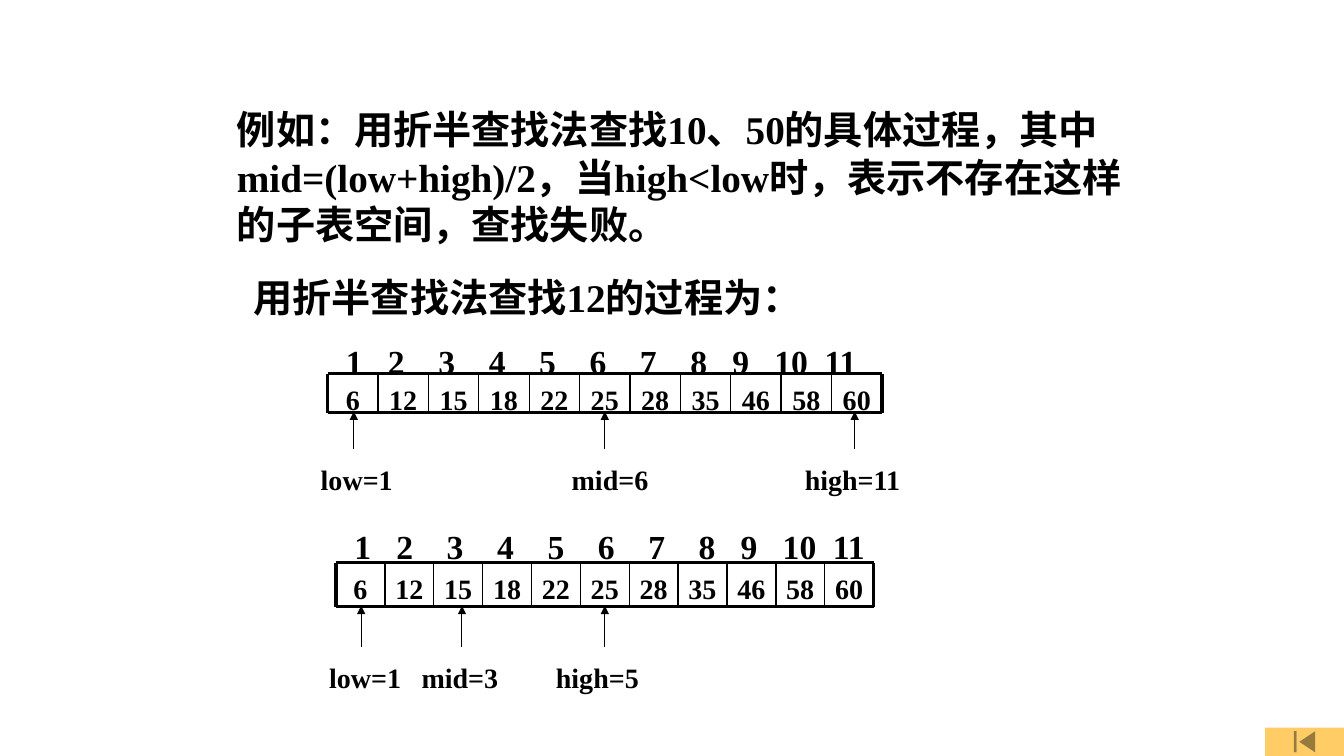
import pptx
import pptx.util
import pptx.dml.color
import pptx.enum.shapes
import pptx.enum.text
import pptx.oxml.ns
from lxml import etree

PX = 9525  # EMU per px, 96 px to the inch
BLACK = pptx.dml.color.RGBColor(0x00, 0x00, 0x00)
AMBER = pptx.dml.color.RGBColor(0xFF, 0xCC, 0x66)
LATIN_FONT = "Times New Roman"
CHINESE_FONT = "Noto Sans CJK SC"

VALUES = [6, 12, 15, 18, 22, 25, 28, 35, 46, 58, 60]
INDEX_STOPS = [32, 72, 120, 168, 216, 264, 312, 360, 400, 448, 495]
EXAMPLE = [
    "例如：用折半查找法查找10、50的具体过程，",
    "其中",
    "mid=(low+high)/2",
    "，当",
    "high<low",
    "时，表示不存在这样的子表空间，查找失败。",
]


def px(length):
    return pptx.util.Emu(int(length * PX))


def add_xml(parent, tag, **attributes):
    return etree.SubElement(parent, pptx.oxml.ns.qn(tag), attributes)


def add_span(para, text, size):
    span = para.add_run()
    span.text = text
    font = span.font
    font.size = pptx.util.Pt(size)
    font.bold = True
    font.color.rgb = BLACK
    font.name = LATIN_FONT
    add_xml(font._element, "a:ea", typeface=CHINESE_FONT)


def write_spans(box, texts, size, spacing=None):
    frame = box.text_frame
    frame.word_wrap = True
    frame.auto_size = pptx.enum.text.MSO_AUTO_SIZE.NONE
    frame.vertical_anchor = pptx.enum.text.MSO_ANCHOR.TOP
    para = frame.paragraphs[0]
    para.alignment = pptx.enum.text.PP_ALIGN.LEFT
    para.space_before = pptx.util.Pt(0)
    if spacing:
        para.line_spacing = pptx.util.Pt(spacing)
    for text in texts:
        add_span(para, text, size)
    return para


def add_label(parent, left, top, width, height, text, size, spacing=None):
    box = parent.shapes.add_textbox(px(left), px(top), px(width), px(height))
    write_spans(box, [text], size, spacing)
    return box


def add_line(parent, start, end, weight):
    line = parent.shapes.add_connector(
        pptx.enum.shapes.MSO_CONNECTOR.STRAIGHT, *map(px, start + end)
    )
    line.line.color.rgb = BLACK
    line.line.width = pptx.util.Pt(weight)
    add_xml(line._element.spPr, "a:effectLst")
    return line


def place_title(page, left, top, width, height):
    title = page.shapes.title
    title.left, title.top = px(left), px(top)
    title.width, title.height = px(width), px(height)
    write_spans(title, EXAMPLE, 28, spacing=34)


def place_value_row(parent, left, top, width, height):
    right, bottom = left + width, top + height
    step = width / len(VALUES)

    # Values
    for column, value in enumerate(VALUES):
        box = add_label(
            parent, left + column * step, top, step, height, str(value), 20
        )
        frame = box.text_frame
        frame.margin_left = frame.margin_right = frame.margin_bottom = 0
        frame.margin_top = px(8)
        frame.paragraphs[0].alignment = pptx.enum.text.PP_ALIGN.CENTER

    # Frame and dividers
    for y in (top, bottom):
        add_line(parent, (left, y), (right, y), 2.25)
    for column in range(len(VALUES) + 1):
        x = left + column * step
        weight = 2.25 if column in (0, len(VALUES)) else 1
        add_line(parent, (x, top), (x, bottom), weight)


def place_search_step(page, left, top, width, unit, row_height, pointers):
    group = page.shapes.add_group_shape()
    row_top = top + unit
    place_value_row(group, left + 16, row_top, width - 32, row_height)

    # Index numbers, centred on tab stops
    indices = "".join(f"\t{number}" for number in range(1, len(VALUES) + 1))
    box = add_label(group, left, top, width, 48, indices, 24)
    para = box.text_frame.paragraphs[0]
    stops = add_xml(para._p.get_or_add_pPr(), "a:tabLst")
    for stop in INDEX_STOPS:
        add_xml(stops, "a:tab", pos=str(px(stop)), algn="ctr")

    # Pointers: arrow offset, label offset, label
    start = top + 3 * unit
    tip = row_top + row_height - 1
    for arrow_offset, label_offset, text in pointers:
        x = left + arrow_offset
        arrow = add_line(group, (x, start), (x, tip), 0.75)
        add_xml(arrow.line._get_or_add_ln(), "a:tailEnd", type="triangle")
        add_label(group, left + label_offset, start + 8, 124, 42, text, 20)


def place_return_button(page, left, top, width, height):
    button = page.shapes.add_shape(
        pptx.enum.shapes.MSO_SHAPE.ACTION_BUTTON_BEGINNING,
        px(left), px(top), px(width), px(height),
    )
    button.shadow.inherit = False
    button.fill.solid()
    button.fill.fore_color.rgb = AMBER
    button.line.fill.background()


def main():
    deck = pptx.Presentation()
    deck.slide_width, deck.slide_height = px(1280), px(720)
    page = deck.slides.add_slide(deck.slide_layouts[5])

    place_return_button(page, 1205, 693, 75, 27)
    place_title(page, 216, 95, 872, 144)

    # First and second probe
    place_search_step(
        page, 296, 320, 560, 36, 37,
        [(41, 0, "low=1"), (280, 239, "mid=6"), (518, 461, "high=11")],
    )
    place_search_step(
        page, 304, 496, 544, 40, 42,
        [(40, 0, "low=1"), (136, 88, "mid=3"), (272, 216, "high=5")],
    )

    # Heading of the search for 12
    add_label(page, 232, 255, 648, 55, "用折半查找法查找12的过程为：", 28, spacing=34)

    deck.save("out.pptx")


if __name__ == "__main__":
    main()
